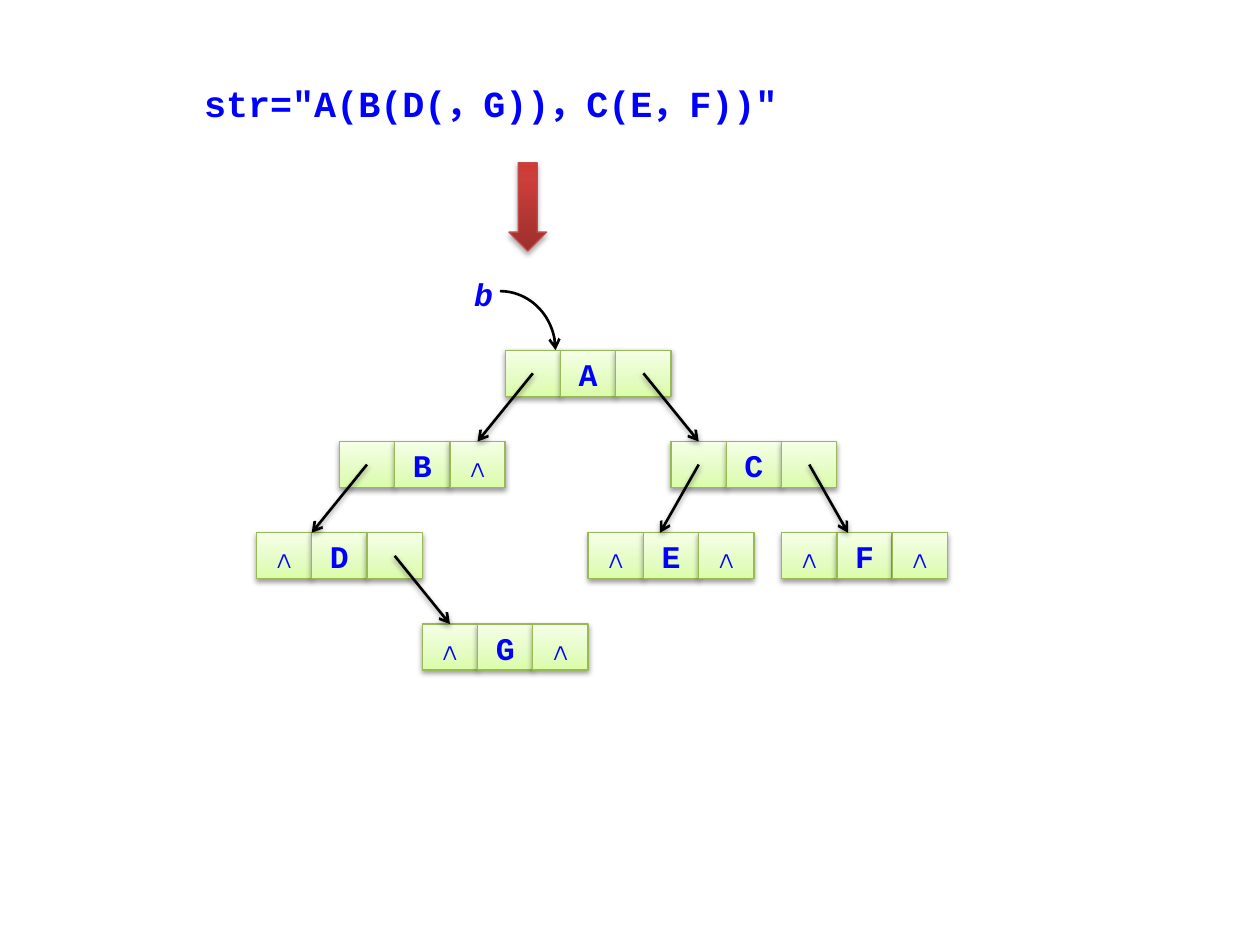
import math
from collections import namedtuple
from dataclasses import dataclass

from lxml import etree
from pptx import Presentation
from pptx import util as u
from pptx.dml.color import RGBColor
from pptx.enum import shapes, text
from pptx.oxml import ns

Box = namedtuple("Box", "left top width height")
Cm, Pt = u.Cm, u.Pt


@dataclass(frozen=True)
class Theme:
    font: str = "Courier New"
    ink: str = "0000FF"
    link: str = "000000"
    title_size: int = 21
    label_size: int = 18
    cell_line: str = "98B955"
    cell_stops: tuple = ((0, "DAFDA7"), (35, "E4FCC2"), (100, "F5FFE7"))
    arrow_line: str = "BF4C48"
    arrow_stops: tuple = ((0, "9C2F2D"), (80, "CB3E3A"), (100, "CE3B37"))


THEME = Theme()
NIL = "∧"
CELLS_ACROSS = 12.5
ROW_PITCH = Cm(1.84)
CELL_HEIGHT = Cm(0.93)

NODES = {
    "A": (4.5, 0, ("", "A", "")),
    "B": (1.5, 1, ("", "B", NIL)),
    "C": (7.5, 1, ("", "C", "")),
    "D": (0, 2, (NIL, "D", "")),
    "E": (6, 2, (NIL, "E", NIL)),
    "G": (3, 3, (NIL, "G", NIL)),
    "F": (9.5, 2, (NIL, "F", NIL)),
}
LINKS = [
    ("A", 0, "B", 2.5),
    ("A", 2, "C", 0.5),
    ("B", 0, "D", 1),
    ("D", 2, "G", 0.5),
    ("C", 0, "E", 1.3),
    ("C", 2, "F", 1.2),
]


def add_element(parent, tag, **attributes):
    return etree.SubElement(parent, ns.qn(tag), attributes)


def set_line(shape, color, width):
    shape.line.color.rgb = RGBColor.from_string(color)
    shape.line.width = Pt(width)


def set_shadow(shape, opacity=0, distance=0):
    effects = add_element(shape._element.spPr, "a:effectLst")
    if opacity:
        shadow = add_element(effects, "a:outerShdw", blurRad=str(Pt(3.1)),
                             dist=str(Pt(distance)), dir="5400000", rotWithShape="0")
        color = add_element(shadow, "a:srgbClr", val="000000")
        add_element(color, "a:alpha", val=str(opacity * 1000))


def set_gradient(shape, stops):
    shape.fill.gradient()
    shape.fill.gradient_angle = 90
    stop_list = shape._element.spPr.find(".//" + ns.qn("a:gsLst"))
    stop_list.clear()
    for position, color in stops:
        stop = add_element(stop_list, "a:gs", pos=str(position * 1000))
        add_element(stop, "a:srgbClr", val=color)


def set_arrow(shape):
    set_line(shape, THEME.link, 1.5)
    add_element(shape.line._get_or_add_ln(), "a:tailEnd", type="arrow")


def write(frame, words, size, align, italic=None):
    para = frame.paragraphs[0]
    para.text = words
    para.alignment = align
    font = para.font
    font.name, font.size, font.bold, font.italic = THEME.font, Pt(size), True, italic
    font.color.rgb = RGBColor.from_string(THEME.ink)
    return para


def add_title(page, box):
    title = page.shapes.title
    title.left, title.top, title.width, title.height = box
    frame = title.text_frame
    frame.word_wrap = True
    frame.auto_size = text.MSO_AUTO_SIZE.NONE
    frame.vertical_anchor = text.MSO_ANCHOR.TOP
    write(frame, 'str="A(B(D(，G))，C(E，F))"', THEME.title_size, text.PP_ALIGN.LEFT)


def add_down_arrow(page, box):
    arrow = page.shapes.add_shape(shapes.MSO_SHAPE.DOWN_ARROW, *box)
    set_gradient(arrow, THEME.arrow_stops)
    set_line(arrow, THEME.arrow_line, 0.75)
    set_shadow(arrow, 35, 1.8)


def add_cell(group, box, words):
    cell = group.shapes.add_shape(shapes.MSO_SHAPE.RECTANGLE, *box)
    set_gradient(cell, THEME.cell_stops)
    set_line(cell, THEME.cell_line, 0.75)
    set_shadow(cell, 38, 1.6)
    if words:
        frame = cell.text_frame
        frame.margin_left = frame.margin_right = frame.margin_bottom = 0
        frame.margin_top = Cm(0.08)
        frame.vertical_anchor = text.MSO_ANCHOR.MIDDLE
        para = write(frame, words, THEME.label_size, text.PP_ALIGN.CENTER)
        para.line_spacing = Pt(20)
    return cell


def add_tree(group, box):
    cell_width = box.width / CELLS_ACROSS
    nodes = {}
    for name, (column, row, labels) in NODES.items():
        top = box.top + row * ROW_PITCH
        nodes[name] = [
            add_cell(group, Box(int(box.left + (column + index) * cell_width), top,
                                int(cell_width), CELL_HEIGHT), label)
            for index, label in enumerate(labels)
        ]
    for parent, index, child, landing in LINKS:
        source = nodes[parent][index]
        target = nodes[child]
        link = group.shapes.add_connector(
            shapes.MSO_CONNECTOR.STRAIGHT,
            source.left + source.width // 2, source.top + source.height // 2,
            int(target[0].left + landing * cell_width), target[0].top)
        if landing % 1 == 0.5:
            link.end_connect(target[int(landing)], 0)
        set_arrow(link)
        set_shadow(link, 38, 1.6)


def add_root_pointer(group, box):
    label = group.shapes.add_textbox(box.left, box.top, Cm(0.86), Cm(0.94))
    frame = label.text_frame
    frame.word_wrap = True
    frame.margin_left = frame.margin_right = frame.margin_top = frame.margin_bottom = 0
    write(frame, "b", THEME.label_size, text.PP_ALIGN.CENTER, italic=True)

    left, top = box.left + Cm(0.76), box.top + Cm(0.33)
    width = box.left + box.width - left
    height = box.top + box.height - top
    steps = 24
    angles = [math.pi / 2 * step / steps for step in range(1, steps + 1)]
    builder = group.shapes.build_freeform(left, top)
    builder.add_line_segments(
        [(int(left + width * math.sin(angle)), int(top + height * (1 - math.cos(angle))))
         for angle in angles], close=False)
    curve = builder.convert_to_shape()
    curve.fill.background()
    set_arrow(curve)
    set_shadow(curve)


def main():
    deck = Presentation()
    deck.slide_width, deck.slide_height = Cm(25.4), Cm(19.05)
    page = deck.slides.add_slide(deck.slide_layouts[5])
    add_title(page, Box(Cm(3.86), Cm(1.5), Cm(14.94), Cm(1.14)))
    group = page.shapes.add_group_shape()
    add_tree(group, Box(Cm(5.17), Cm(7.06), Cm(13.93), Cm(6.45)))
    add_root_pointer(group, Box(Cm(9.32), Cm(5.54), Cm(1.88), Cm(1.52)))
    add_down_arrow(page, Box(Cm(10.26), Cm(3.28), Cm(0.76), Cm(1.78)))
    deck.save("out.pptx")


if __name__ == "__main__":
    main()
